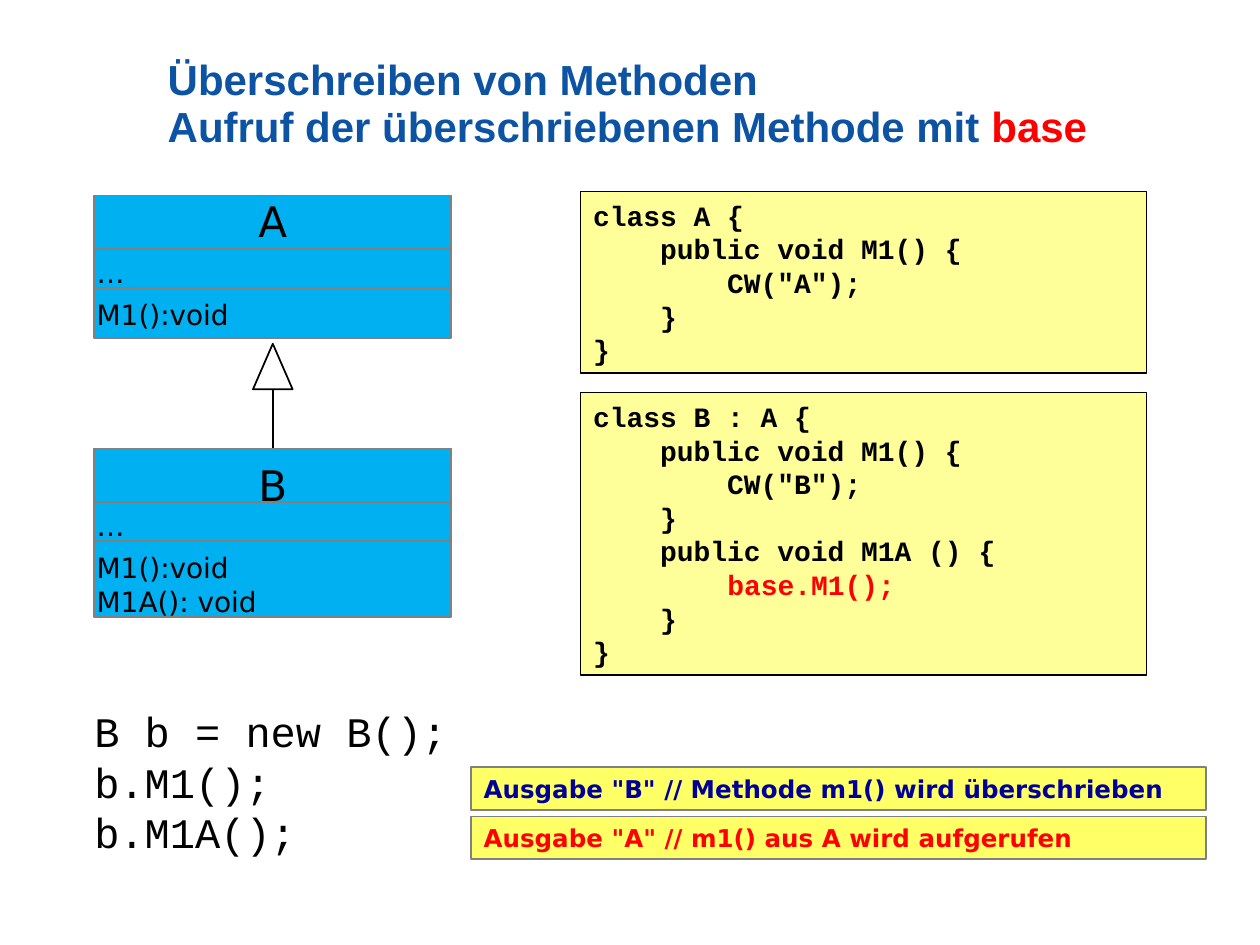
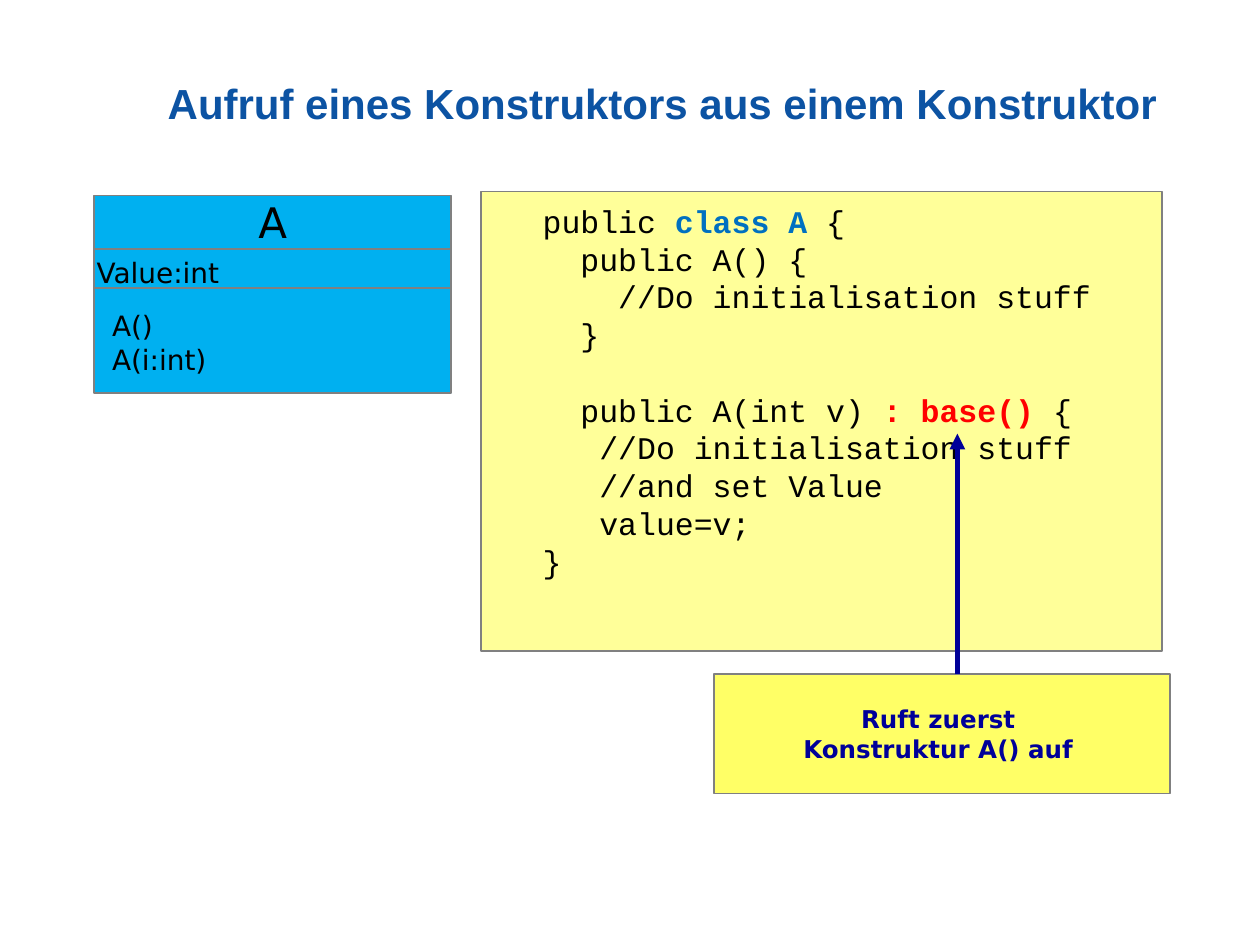
from lxml import etree
from pptx import Presentation
from pptx.dml.color import RGBColor
from pptx.enum.shapes import MSO_CONNECTOR, MSO_SHAPE
from pptx.enum.text import MSO_ANCHOR, MSO_AUTO_SIZE, PP_ALIGN
from pptx.oxml.ns import qn
from pptx.util import Cm, Pt

RECT, ARROW = MSO_SHAPE.RECTANGLE, MSO_SHAPE.ISOSCELES_TRIANGLE
LINE = MSO_CONNECTOR.STRAIGHT
TOP, MID = MSO_ANCHOR.TOP, MSO_ANCHOR.MIDDLE
LEFT, MIDDLE = PP_ALIGN.LEFT, PP_ALIGN.CENTER
FIXED = MSO_AUTO_SIZE.NONE

BLUE, SKY, TEAL, NAVY = "0C53A3", "00B0F0", "0070C0", "000099"
BLACK, GRAY, RED = "000000", "808080", "FF0000"
CREAM, LEMON = "FFFF99", "FFFF66"
SANS, MONO, HEAD = "DejaVu Sans", "Courier New", "Arial"
INSET = (0.25, 0.13, 0.25, 0.13)

TITLES = [
    ["Überschreiben von Methoden",
     ["Aufruf der überschriebenen Methode mit ", ("base", RED)]],
    ["Aufruf eines Konstruktors aus einem Konstruktor"],
]
USAGE = ["B b = new B();", "b.M1();", "b.M1A();"]
BASE = {"name": "A", "top": 3.94, "high": 2.87, "gap": 0,
        "field": "…", "calls": ["M1():void"], "place": (1.7, 1.93)}
CHILD = {"name": "B", "top": 9.04, "high": 3.4, "gap": 0.23,
         "field": "…", "calls": ["M1():void", "M1A(): void"],
         "place": (1.7, 1.93)}
MAKER = {"name": "A", "top": 3.94, "high": 3.99, "gap": 0.03,
         "field": "Value:int", "calls": ["A()", "A(i:int)"],
         "place": (2.01, 2.16)}
CODES = [
    (3.86, 3.66, ["class A {",
                  "    public void M1() {",
                  '        CW("A");',
                  "    }",
                  "}"]),
    (7.92, 5.69, ["class B : A {",
                  "    public void M1() {",
                  '        CW("B");',
                  "    }",
                  "    public void M1A () {",
                  ["        ", ("base.M1();", RED)],
                  "    }",
                  "}"]),
]
NOTES = [('Ausgabe "B" // Methode m1() wird überschrieben', NAVY),
         ('Ausgabe "A" // m1() aus A wird aufgerufen', RED)]
BUILD = [
    ["public ", ("class A", TEAL), " {"],
    "  public A() {",
    "    //Do initialisation stuff",
    "  }",
    ["  public A(int v) ", (": base() ", RED), "{"],
    "   //Do initialisation stuff",
    "   //and set Value",
    "   value=v;",
    "}",
]
CALLOUT = ["Ruft zuerst", "Konstruktur A() auf"]


def paint(text):
    return RGBColor.from_string(text)


def cms(*sizes):
    return [Cm(size) for size in sizes]


def write(frame, lines, font, size, color=BLACK, bold=False, align=LEFT,
          anchor=TOP, inset=INSET, pitch=1.0):
    frame.word_wrap = True
    frame.auto_size = FIXED
    frame.vertical_anchor = anchor
    (frame.margin_left, frame.margin_top,
     frame.margin_right, frame.margin_bottom) = cms(*inset)
    for i, line in enumerate(lines):
        para = frame.add_paragraph() if i else frame.paragraphs[0]
        para.alignment = align
        para.line_spacing = pitch
        para.space_before = para.space_after = Pt(0)
        for part in [line] if isinstance(line, str) else line:
            plain = isinstance(part, str)
            run = para.add_run()
            run.text = part if plain else part[0]
            run.font.name, run.font.size = font, Pt(size)
            run.font.bold = bold or not plain
            run.font.color.rgb = paint(color if plain else part[1])


def label(slide, place, lines):
    box = slide.shapes.add_textbox(*cms(*place))
    write(box.text_frame, lines, SANS, 16)


def draw(slide, kind, place, fill=None, edge=GRAY, width=1):
    shape = slide.shapes.add_shape(kind, *cms(*place))
    shape.shadow.inherit = False
    if fill:
        shape.fill.solid()
        shape.fill.fore_color.rgb = paint(fill)
    else:
        shape.fill.background()
    shape.line.color.rgb = paint(edge)
    shape.line.width = Pt(width)
    return shape


def link(slide, ends, color=GRAY, width=1, tip=False):
    line = slide.shapes.add_connector(LINE, *cms(*ends))
    line.line.color.rgb = paint(color)
    line.line.width = Pt(width)
    if tip:
        etree.SubElement(line.line._get_or_add_ln(), qn("a:tailEnd"),
                         type="triangle")
    etree.SubElement(line._element.spPr, qn("a:effectLst"))


def entry(slide, item):
    left, wide, top = 1.9, 7.2, item["top"]
    box = draw(slide, RECT, (left, top, wide, item["high"]), SKY)
    write(box.text_frame, [item["name"]], SANS, 24, align=MIDDLE,
          inset=(0.25, item["gap"], 0.25, 0))
    for drop in (1.08, 1.87):
        link(slide, (left, top + drop, left + wide, top + drop))
    label(slide, (1.7, top + 1.08, 6.4, 0.94), [item["field"]])
    start, drop = item["place"]
    label(slide, (start, top + drop, 7, 0.81 * len(item["calls"])),
          item["calls"])


def move(shape, place):
    shape.left, shape.top, shape.width, shape.height = cms(*place)


def begin(deck, layout, lines):
    slide = deck.slides.add_slide(deck.slide_layouts[layout])
    title = slide.shapes.title
    move(title, (3.38, 0.84, 21.59, 2.54))
    write(title.text_frame, lines, HEAD, 24, BLUE, True, anchor=MID,
          inset=(0, 0, 0, 0), pitch=0.95)
    return slide


def override(deck):
    slide = begin(deck, 1, TITLES[0])
    body = slide.placeholders[1]
    move(body, (1.65, 14.1, 23.11, 4.32))
    write(body.text_frame, USAGE, MONO, 24)
    for para in body.text_frame.paragraphs:
        props = para._p.get_or_add_pPr()
        props.set("marL", "0")
        props.set("indent", "0")
        etree.SubElement(props, qn("a:buNone"))
    entry(slide, CHILD)
    draw(slide, ARROW, (5.1, 6.93, 0.8, 0.92), edge=BLACK)
    link(slide, (5.5, 9.04, 5.5, 7.85), BLACK)
    entry(slide, BASE)
    for top, high, lines in CODES:
        box = draw(slide, RECT, (11.71, top, 11.4, high), CREAM, BLACK, 0.75)
        write(box.text_frame, lines, MONO, 16, bold=True, anchor=MID)
    for i, (text, color) in enumerate(NOTES):
        box = draw(slide, RECT, (9.5, 15.47 + 0.99 * i, 14.81, 0.86), LEMON)
        write(box.text_frame, [text], SANS, 14, color, True, anchor=MID)


def construct(deck):
    slide = begin(deck, 5, TITLES[1])
    box = draw(slide, RECT, (9.7, 3.86, 13.72, 9.27), CREAM)
    write(box.text_frame, BUILD, MONO, 18, inset=(1.24, 0.21, 0.25, 0.13))
    box.text_frame.paragraphs[4].space_before = Pt(21.5)
    entry(slide, MAKER)
    box = draw(slide, RECT, (14.4, 13.59, 9.19, 2.41), LEMON)
    write(box.text_frame, CALLOUT, SANS, 14, NAVY, True, MIDDLE, MID,
          inset=(0.25, 0.13, 0.41, 0.13))
    link(slide, (19.3, 13.59, 19.3, 8.74), NAVY, 3, True)


def main():
    deck = Presentation()
    deck.slide_width, deck.slide_height = cms(25.4, 19.05)
    override(deck)
    construct(deck)
    deck.save("out.pptx")


if __name__ == "__main__":
    main()
